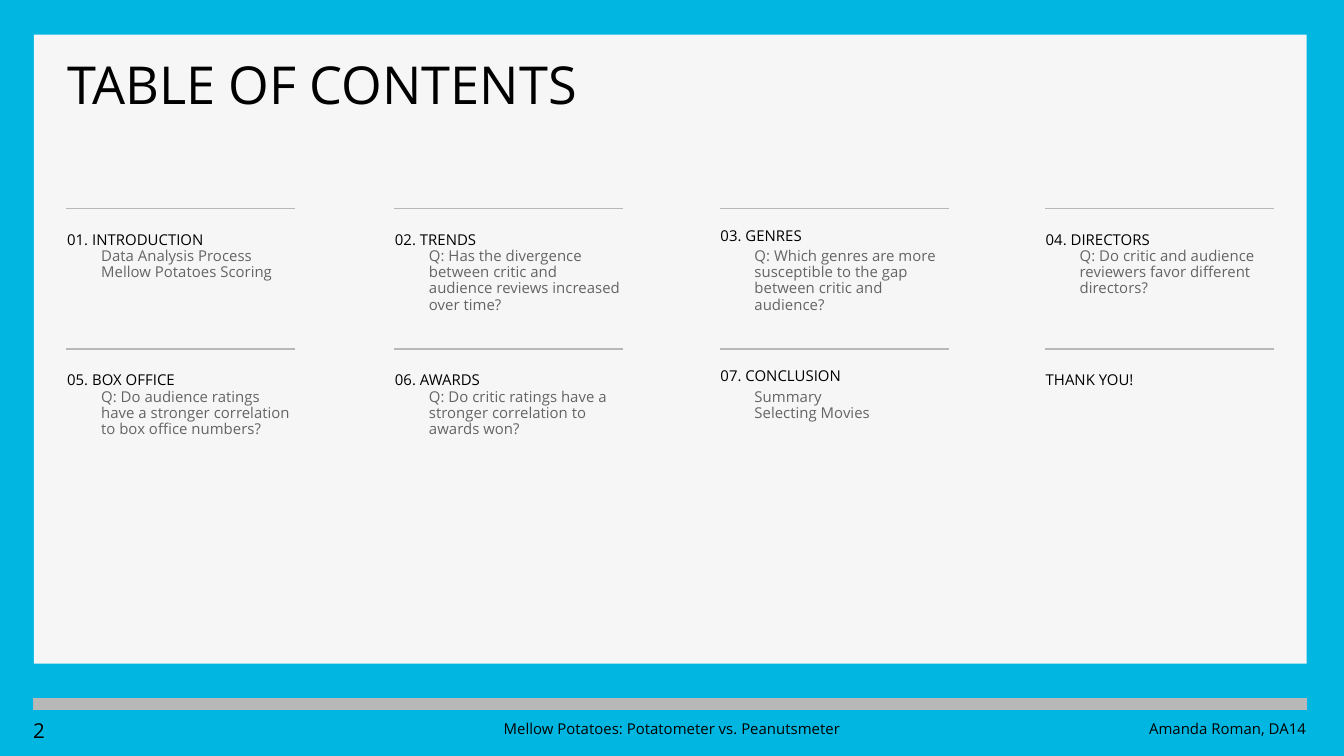
from dataclasses import dataclass

from lxml import etree
from pptx import Presentation
from pptx.dml.color import RGBColor
from pptx.enum import shapes, text
from pptx.oxml import ns
from pptx.util import Pt


@dataclass(frozen=True)
class Theme:
    """Colours, font and type sizes of the deck."""
    back: str = "01B6E1"
    panel: str = "F6F6F6"
    rule: str = "B8B8B8"
    ink: str = "000000"
    soft: str = "646464"
    font: str = "Open Sans"
    title: int = 28
    num: int = 11
    body: int = 8


THEME = Theme()
LEFT, CENTER, RIGHT = text.PP_ALIGN.LEFT, text.PP_ALIGN.CENTER, text.PP_ALIGN.RIGHT
COLS = (36, 211.6, 386, 560.2)
ROW_GAP = 75.2
TOPICS = (
    ("01. INTRODUCTION", ("Data Analysis Process", "Mellow Potatoes Scoring")),
    ("02. TRENDS", ("Q: Has the divergence between critic and audience reviews increased over time?",)),
    ("03. GENRES", ("Q: Which genres are more susceptible to the gap between critic and audience?",)),
    ("04. DIRECTORS", ("Q: Do critic and audience reviewers favor different directors?",)),
    ("05. BOX OFFICE", ("Q: Do audience ratings have a stronger correlation to box office numbers?",)),
    ("06. AWARDS", ("Q: Do critic ratings have a stronger correlation to awards won?",)),
    ("07. CONCLUSION", ("Summary", "Selecting Movies")),
    ("THANK YOU!", ()),
)


def add_text(slide, box, lines, size, color=THEME.ink, space=1.0, align=LEFT):
    """Place lines of text, one paragraph each, in a box without margins."""
    frame = slide.shapes.add_textbox(*map(Pt, box)).text_frame
    frame.word_wrap = True
    frame.margin_left = frame.margin_right = frame.margin_top = frame.margin_bottom = 0
    frame.text = "\n".join(lines)
    for par in frame.paragraphs:
        par.alignment = align
        par.line_spacing = space
        par.font.name = THEME.font
        par.font.size = Pt(size)
        par.font.color.rgb = RGBColor.from_string(color)


def add_rule(slide, left, top, width, weight):
    """Draw a grey horizontal rule."""
    rule = slide.shapes.add_connector(
        shapes.MSO_CONNECTOR.STRAIGHT, Pt(left), Pt(top), Pt(left + width), Pt(top))
    rule.line.color.rgb = RGBColor.from_string(THEME.rule)
    rule.line.width = Pt(weight)
    etree.SubElement(rule._element.spPr, ns.qn("a:effectLst"))


def add_panel(slide, box):
    """Lay the pale panel and the title in its top left corner."""
    left, top, width, height = box
    panel = slide.shapes.add_shape(shapes.MSO_SHAPE.RECTANGLE, *map(Pt, box))
    panel.shadow.inherit = False
    panel.fill.solid()
    panel.fill.fore_color.rgb = RGBColor.from_string(THEME.panel)
    panel.line.fill.background()
    add_text(slide, (left + 17.8, top + 17.4, width - 36, 25.2),
             ["TABLE OF CONTENTS"], THEME.title, space=0.75)


def add_topic(slide, box, head, lines, space):
    """Place one topic: a rule, its heading and the indented lines."""
    left, top, width, height = box
    add_rule(slide, left - 0.4, top, width + 0.8, 0.75)
    add_text(slide, (left, top + 11.5, width, 10), [head], THEME.body, space=space)
    if lines:
        add_text(slide, (left + 18.2, top + 21.6, width - 18, height - 21.6),
                 lines, THEME.body, THEME.soft, 0.9)


def add_grid(slide, top):
    """Set out the topics row by row."""
    for index, (head, lines) in enumerate(TOPICS):
        row, col = divmod(index, len(COLS))
        box = COLS[col], top + row * ROW_GAP, 121.9, ROW_GAP - 12
        add_topic(slide, box, head, lines, 0.8 if col == 2 else 1.0)


def add_footer(slide, box):
    """Place the thick bar with page number, deck name and author below."""
    left, top, width, height = box
    add_rule(slide, left, top, width, 6)
    add_text(slide, (left, top + 7.2, 36, 14), ["2"], THEME.num)
    notes = (("Mellow Potatoes: Potatometer vs. Peanutsmeter", 240.8, 203, CENTER),
             ("Amanda Roman, DA14", width - 160.6, 160, RIGHT))
    for note, shift, span, align in notes:
        add_text(slide, (left + shift, top + 9.4, span, 9.4), [note],
                 THEME.body, space=0.9, align=align)


def main():
    """Build the contents slide and save it."""
    deck = Presentation()
    deck.slide_width, deck.slide_height = Pt(720), Pt(405)
    slide = deck.slides.add_slide(deck.slide_layouts[6])
    slide.background.fill.solid()
    slide.background.fill.fore_color.rgb = RGBColor.from_string(THEME.back)
    add_panel(slide, (18.2, 18.6, 681.8, 337))
    add_grid(slide, 111.8)
    add_footer(slide, (17.8, 377.2, 682.6, 24))
    deck.save("out.pptx")


if __name__ == "__main__":
    main()
